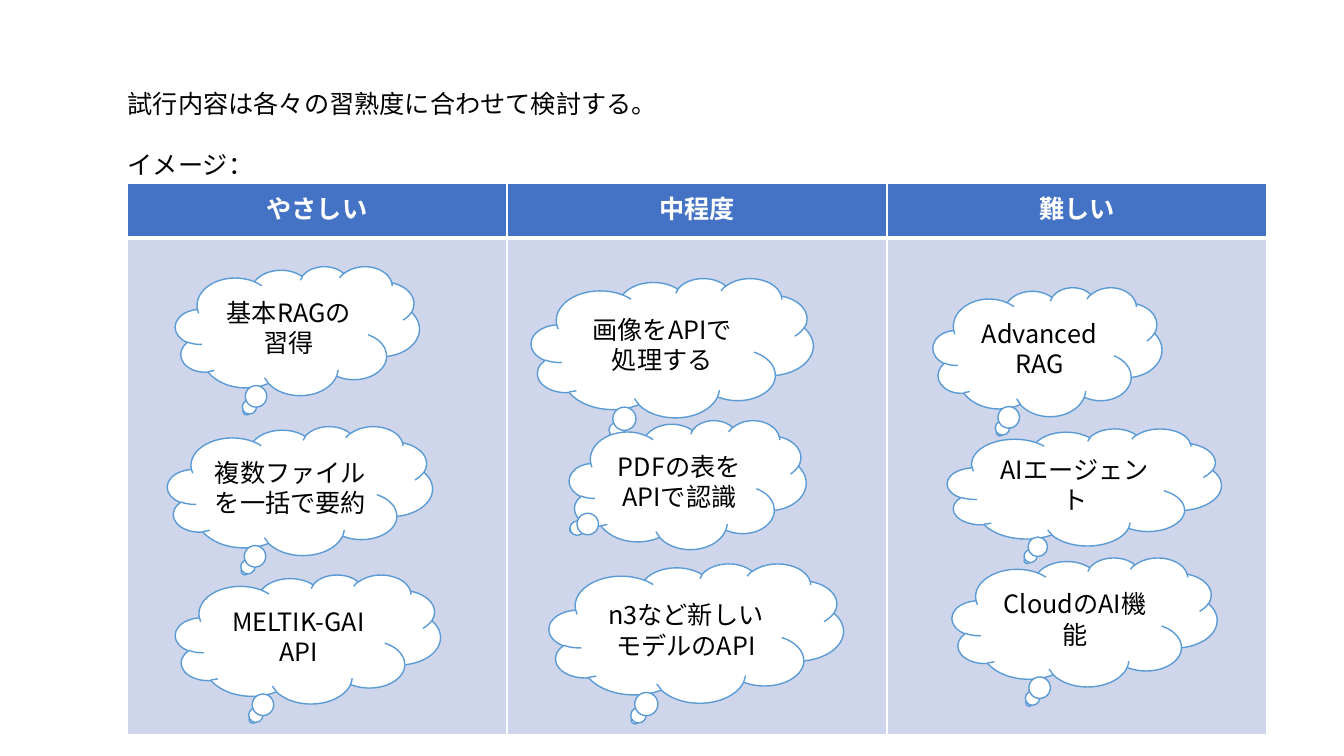
import dataclasses

import pptx
import pptx.dml.color
import pptx.enum.shapes
import pptx.enum.text
import pptx.oxml
import pptx.oxml.ns
import pptx.util

Cm = pptx.util.Cm
Pt = pptx.util.Pt
CENTER = pptx.enum.text.PP_ALIGN.CENTER


@dataclasses.dataclass(frozen=True)
class Theme:
    """Colours, font and sizes of the slide."""
    font: str = "Noto Sans CJK JP"
    size: float = 18
    line_gap: float = 21.4
    ink: str = "000000"
    white: str = "FFFFFF"
    header: str = "4472C4"
    body: str = "CFD5EA"
    outline: str = "5B9BD5"


@dataclasses.dataclass(frozen=True)
class Box:
    """A rectangle in centimetres."""
    left: float
    top: float
    width: float
    height: float

    def lengths(self):
        """Return the four lengths in slide units."""
        return [Cm(n) for n in (self.left, self.top, self.width, self.height)]


THEME = Theme()
HEADER_HEIGHT = 1.37
DEFAULT_TAIL = (-0.208, 0.625)
LEVELS = {
    "やさしい": [
        ("基本RAGの習得", Box(1.22, 0.71, 6.15, 3.25), DEFAULT_TAIL),
        ("複数ファイルを一括で要約", Box(1.02, 4.74, 6.68, 3.25), DEFAULT_TAIL),
        ("MELTIK-GAI API", Box(1.22, 8.48, 6.68, 3.25), DEFAULT_TAIL),
    ],
    "中程度": [
        ("画像をAPIで処理する", Box(0.61, 1.01, 7.11, 3.51), DEFAULT_TAIL),
        ("PDFの表をAPIで認識", Box(1.57, 4.59, 5.97, 3.25), (-0.483, 0.349)),
        ("n3など新しいモデルのAPI", Box(1.06, 8.2, 7.42, 3.51), DEFAULT_TAIL),
    ],
    "難しい": [
        ("AIエージェント", Box(1.52, 4.8, 6.91, 2.95), DEFAULT_TAIL),
        ("CloudのAI機能", Box(1.64, 8.05, 6.68, 3.25), DEFAULT_TAIL),
        ("Advanced RAG", Box(1.16, 1.24, 5.77, 3.25), DEFAULT_TAIL),
    ],
}


def color(code):
    """Return a colour from its hex code."""
    return pptx.dml.color.RGBColor.from_string(code)


def write(para, text, ink=THEME.ink, bold=False, align=None):
    """Put styled text in a paragraph."""
    para.text = text
    para.alignment = align
    para.font.name = THEME.font
    para.font.size = Pt(THEME.size)
    para.font.bold = bold
    para.font.color.rgb = color(ink)


def paint_cell(cell, fill, bottom):
    """Fill a cell and draw its white borders."""
    properties = cell._tc.get_or_add_tcPr()
    for side, width in (("L", 1), ("R", 1), ("T", 1), ("B", bottom)):
        properties.append(pptx.oxml.parse_xml(
            f'<a:ln{side} {pptx.oxml.ns.nsdecls("a")} w="{Pt(width)}"><a:solidFill>'
            f'<a:srgbClr val="{THEME.white}"/></a:solidFill></a:ln{side}>'))
    cell.fill.solid()
    cell.fill.fore_color.rgb = color(fill)


def add_intro(page, box):
    """Add the two introductory lines."""
    frame = page.shapes.add_textbox(*box.lengths()).text_frame
    frame.word_wrap = True
    write(frame.paragraphs[0], "試行内容は各々の習熟度に合わせて検討する。")
    label = frame.add_paragraph()
    write(label, "イメージ：")
    label.space_before = Pt(THEME.line_gap)


def add_cloud(page, text, box, tail):
    """Add one thought cloud."""
    cloud = page.shapes.add_shape(
        pptx.enum.shapes.MSO_SHAPE.CLOUD_CALLOUT, *box.lengths())
    cloud.adjustments[0], cloud.adjustments[1] = tail
    cloud.shadow.inherit = False
    cloud.fill.solid()
    cloud.fill.fore_color.rgb = color(THEME.white)
    cloud.line.color.rgb = color(THEME.outline)
    cloud.line.width = Pt(1)
    cloud.text_frame.vertical_anchor = pptx.enum.text.MSO_ANCHOR.MIDDLE
    write(cloud.text_frame.paragraphs[0], text, align=CENTER)


def add_levels(page, box):
    """Add the level table and the clouds in each column."""
    table = page.shapes.add_table(2, len(LEVELS), *box.lengths()).table
    table.rows[0].height = Cm(HEADER_HEIGHT)
    table.rows[1].height = Cm(box.height - HEADER_HEIGHT)
    column_width = box.width / len(LEVELS)
    for index, (level, clouds) in enumerate(LEVELS.items()):
        table.columns[index].width = Cm(column_width)
        header = table.cell(0, index)
        write(header.text_frame.paragraphs[0], level, THEME.white, True, CENTER)
        paint_cell(header, THEME.header, 3)
        paint_cell(table.cell(1, index), THEME.body, 1)
        for text, place, tail in clouds:
            add_cloud(page, text, dataclasses.replace(
                place,
                left=box.left + index * column_width + place.left,
                top=box.top + HEADER_HEIGHT + place.top), tail)


def main():
    """Build and save the deck."""
    deck = pptx.Presentation()
    deck.slide_width, deck.slide_height = Cm(33.87), Cm(19.05)
    page = deck.slides.add_slide(deck.slide_layouts[6])
    add_levels(page, Box(3.2, 4.63, 28.73, 13.89))
    add_intro(page, Box(2.97, 2.11, 29.16, 2.57))
    deck.save("out.pptx")


if __name__ == "__main__":
    main()
